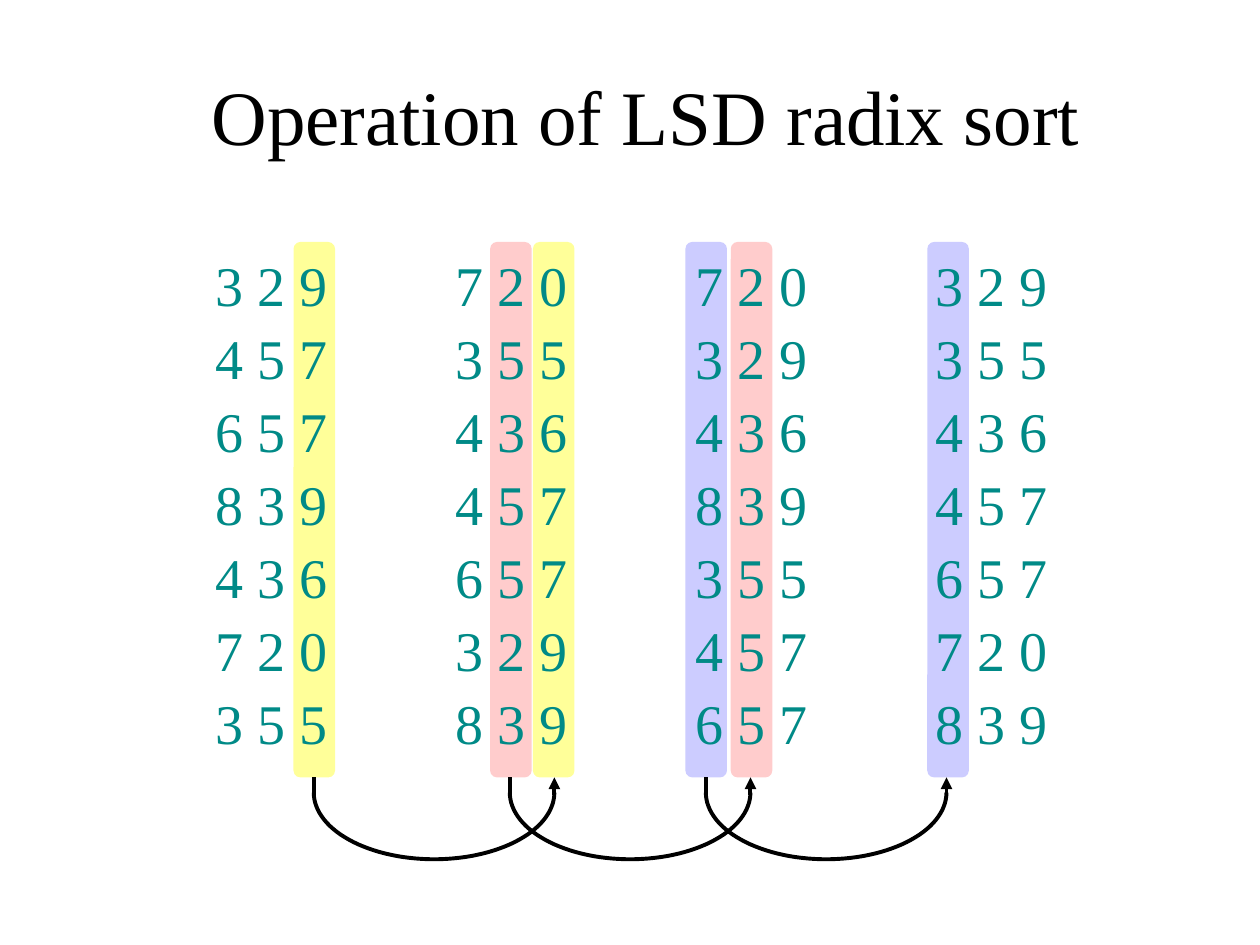
import math
import pptx
import pptx.util
import pptx.dml.color
import pptx.enum.shapes
import pptx.enum.text
import pptx.oxml.ns
from lxml import etree

TITLE = "Operation of LSD radix sort"
PASSES = [
    "329 457 657 839 436 720 355",
    "720 355 436 457 657 329 839",
    "720 329 436 839 355 457 657",
    "329 355 436 457 657 720 839",
]
BARS = [
    (2.33, "FFFF99"), (3.89, "FFCCCC"), (4.23, "FFFF99"),
    (5.44, "CCCCFF"), (5.80, "FFCCCC"), (7.36, "CCCCFF"),
]
BAR_TOP, BAR_W, BAR_H = 1.92, 0.33, 4.25
LIST_X, LIST_STEP = 1.61, 1.906
ROW_Y, ROW_STEP = 1.94, 0.579
NUMBER_W, NUMBER_H = 1.09, 0.64
LOOP_X, LOOP_STEP, LOOP_W, LOOP_DEPTH = 2.49, 1.556, 1.91, 0.53
LOOP_Y, STEM_Y, STEM_END = 6.29, 6.31, 6.17
SEGMENTS = 60

PP = pptx.enum.text
SHAPE = pptx.enum.shapes
inch = pptx.util.Inches


def rgb(code):
    return pptx.dml.color.RGBColor.from_string(code)


def add_text(parent, text, box, size, color, frame, para):
    tf = parent.add_textbox(*map(inch, box)).text_frame
    for key, value in frame.items():
        setattr(tf, key, value)
    p = tf.paragraphs[0]
    for key, value in para.items():
        setattr(p, key, value)
    r = p.add_run()
    r.text = text
    for key, value in {"name": "Times New Roman", "size": pptx.util.Pt(size)}.items():
        setattr(r.font, key, value)
    r.font.color.rgb = rgb(color)


def style_line(sp):
    sp.line.color.rgb = rgb("000000")
    sp.line.width = pptx.util.Pt(2.25)


def add_stem(parent, x, arrow):
    line = parent.add_connector(SHAPE.MSO_CONNECTOR.STRAIGHT,
                                *map(inch, (x, STEM_Y, x, STEM_END)))
    style_line(line)
    if arrow:
        etree.SubElement(line.line._get_or_add_ln(),
                         pptx.oxml.ns.qn("a:tailEnd"), type="triangle")
    etree.SubElement(line._element.spPr, pptx.oxml.ns.qn("a:effectLst"))


def add_loop(parent, x):
    add_stem(parent, x + LOOP_W, True)
    radius = LOOP_W / 2
    angles = [math.pi * i / SEGMENTS for i in range(SEGMENTS + 1)]
    points = [(inch(x + radius - radius * math.cos(a)),
               inch(LOOP_Y + LOOP_DEPTH * math.sin(a))) for a in angles]
    builder = parent.build_freeform(*points[0])
    builder.add_line_segments(points[1:], close=False)
    arc = builder.convert_to_shape()
    arc.shadow.inherit = False
    arc.fill.background()
    style_line(arc)
    add_stem(parent, x, False)


prs = pptx.Presentation()
prs.slide_width, prs.slide_height = inch(10), inch(7.5)
s = prs.slides.add_slide(prs.slide_layouts[6])

for x, color in BARS:
    sp = s.shapes.add_shape(SHAPE.MSO_SHAPE.ROUNDED_RECTANGLE,
                            *map(inch, (x, BAR_TOP, BAR_W, BAR_H)))
    sp.shadow.inherit = False
    sp.fill.solid()
    sp.fill.fore_color.rgb = rgb(color)
    sp.line.fill.background()

add_text(s.shapes, TITLE, (1.58, 0.33, 8.25, 1.25), 44, "000000",
         {"word_wrap": True, "vertical_anchor": PP.MSO_ANCHOR.MIDDLE},
         {"line_spacing": 0.9})

for col, numbers in enumerate(PASSES):
    group = s.shapes.add_group_shape().shapes
    for row, number in enumerate(numbers.split()):
        box = (LIST_X + col * LIST_STEP, ROW_Y + row * ROW_STEP, NUMBER_W, NUMBER_H)
        add_text(group, " ".join(number), box, 32, "008A87",
                 {"word_wrap": False, "auto_size": PP.MSO_AUTO_SIZE.SHAPE_TO_FIT_TEXT},
                 {"alignment": PP.PP_ALIGN.CENTER})

for i in range(len(PASSES) - 1):
    add_loop(s.shapes.add_group_shape().shapes, LOOP_X + i * LOOP_STEP)

prs.save("out.pptx")
